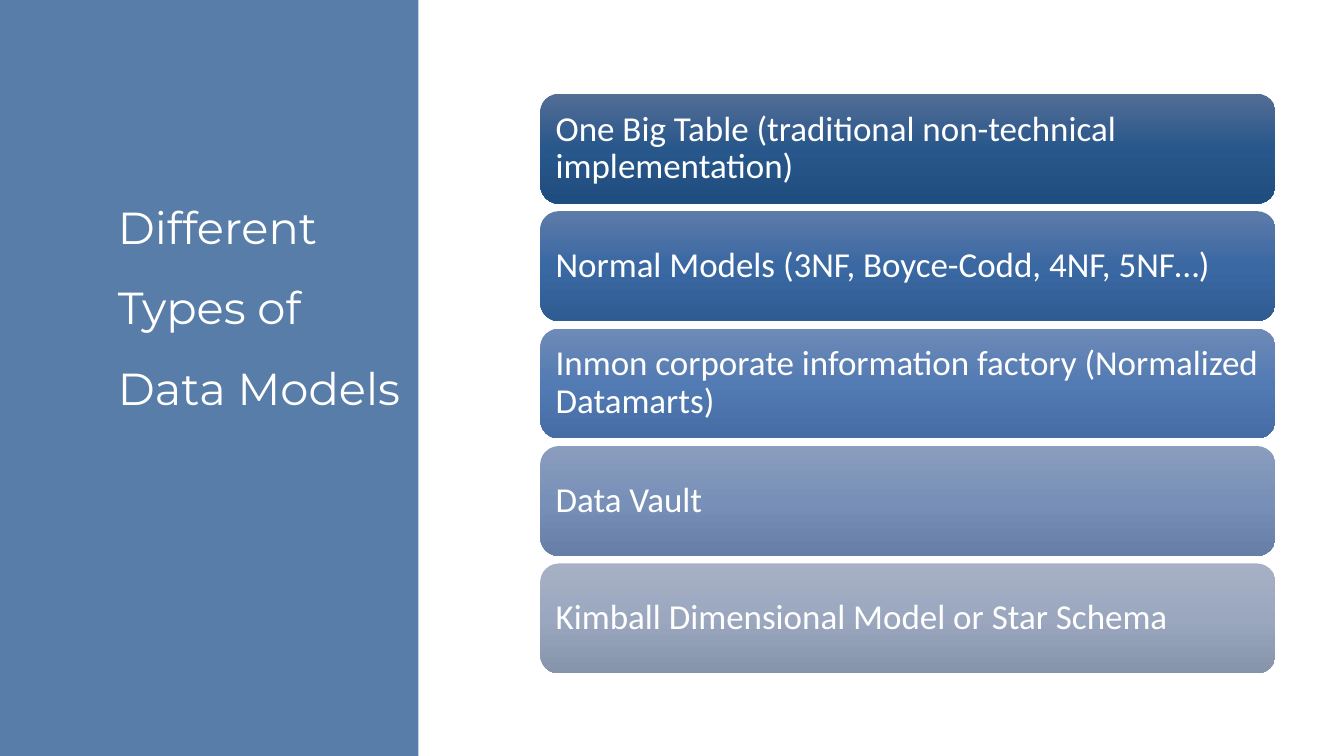
from dataclasses import dataclass

from lxml.etree import SubElement
from pptx import Presentation
from pptx.dml.color import RGBColor as RGB
from pptx.enum.shapes import MSO_SHAPE as SHAPE
from pptx.enum.text import MSO_ANCHOR as ANCHOR, PP_ALIGN as ALIGN
from pptx.oxml.ns import qn
from pptx.util import Inches, Pt


@dataclass(frozen=True)
class Theme:
    """Colours, fonts and type sizes of the slide."""
    panel: str = "316094"
    panel_alpha: int = 81
    text: str = "FFFFFF"
    title_font: str = "Montserrat"
    title_size: int = 32
    bar_font: str = "Calibri"
    bar_size: int = 25


@dataclass(frozen=True)
class Grid:
    """Column and row measures in inches."""
    width: float = 13.33
    height: float = 7.5
    panel: float = 4.15
    title_left: float = 1.07
    title_top: float = 0.66
    title_height: float = 3.5
    bar_left: float = 5.36
    bar_top: float = 0.93
    bar_width: float = 7.29
    bar_height: float = 1.09
    bar_gap: float = 0.075


THEME = Theme()
GRID = Grid()
MODELS = [
    ("One Big Table (traditional non-technical implementation)",
     ("536D95", "28578B", "204D7F")),
    ("Normal Models (3NF, Boyce-Codd, 4NF, 5NF…)",
     ("5D7BA9", "3A68A2", "305C94")),
    ("Inmon corporate information factory (Normalized Datamarts)",
     ("6E8AB7", "537BB3", "456CA4")),
    ("Data Vault", ("8A9DBD", "7890B7", "677FA6")),
    ("Kimball Dimensional Model or Star Schema",
     ("A7B1C5", "9AA7BF", "8694AB")),
]


def write(sp, text, font, size, spacing, anchor):
    """Put one left-aligned paragraph into a shape."""
    tf = sp.text_frame
    tf.word_wrap = True
    tf.vertical_anchor = anchor
    p = tf.paragraphs[0]
    p.text = text
    p.alignment = ALIGN.LEFT
    p.line_spacing = spacing
    p.font.name = font
    p.font.size = Pt(size)
    p.font.color.rgb = RGB.from_string(THEME.text)
    return tf


def add_block(s, kind, left, top, width, height):
    """Add a preset shape without line or shadow."""
    sp = s.shapes.add_shape(kind, *map(Inches, (left, top, width, height)))
    sp.shadow.inherit = False
    sp.line.fill.background()
    return sp


def add_panel(s):
    """Add the translucent side panel."""
    sp = add_block(s, SHAPE.RECTANGLE, 0, 0, GRID.panel, GRID.height)
    sp.fill.solid()
    sp.fill.fore_color.rgb = RGB.from_string(THEME.panel)
    color = sp.fill._xPr.find(".//" + qn("a:srgbClr"))
    SubElement(color, qn("a:alpha"), val=str(THEME.panel_alpha * 1000))


def add_title(s, text):
    """Add the title at the foot of its box on the panel."""
    box = (GRID.title_left, GRID.title_top,
           GRID.panel - GRID.title_left, GRID.title_height)
    sp = s.shapes.add_textbox(*map(Inches, box))
    write(sp, text, THEME.title_font, THEME.title_size, 1.5, ANCHOR.BOTTOM)


def fill_gradient(sp, colors):
    """Fill a shape from top to bottom with evenly spaced stops."""
    sp.fill.gradient()
    sp.fill.gradient_angle = 270
    stops = sp.fill._xPr.find(".//" + qn("a:gsLst"))
    for stop in list(stops):
        stops.remove(stop)
    for i, color in enumerate(colors):
        pos = 100000 * i // (len(colors) - 1)
        stop = SubElement(stops, qn("a:gs"), pos=str(pos))
        SubElement(stop, qn("a:srgbClr"), val=color)


def add_bar(s, row, text, colors):
    """Add one data model bar in the given row."""
    top = GRID.bar_top + row * (GRID.bar_height + GRID.bar_gap)
    sp = add_block(s, SHAPE.ROUNDED_RECTANGLE, GRID.bar_left, top,
                   GRID.bar_width, GRID.bar_height)
    fill_gradient(sp, colors)
    tf = write(sp, text, THEME.bar_font, THEME.bar_size, 0.9, ANCHOR.MIDDLE)
    tf.margin_left = tf.margin_right = Inches(0.1)
    tf.margin_top = tf.margin_bottom = Inches(0.1)


def main():
    """Build and save the slide."""
    prs = Presentation()
    prs.slide_width = Inches(GRID.width)
    prs.slide_height = Inches(GRID.height)
    s = prs.slides.add_slide(prs.slide_layouts[6])
    add_panel(s)
    add_title(s, "Different Types of Data Models")
    for row, (text, colors) in enumerate(MODELS):
        add_bar(s, row, text, colors)
    prs.save("out.pptx")


if __name__ == "__main__":
    main()
